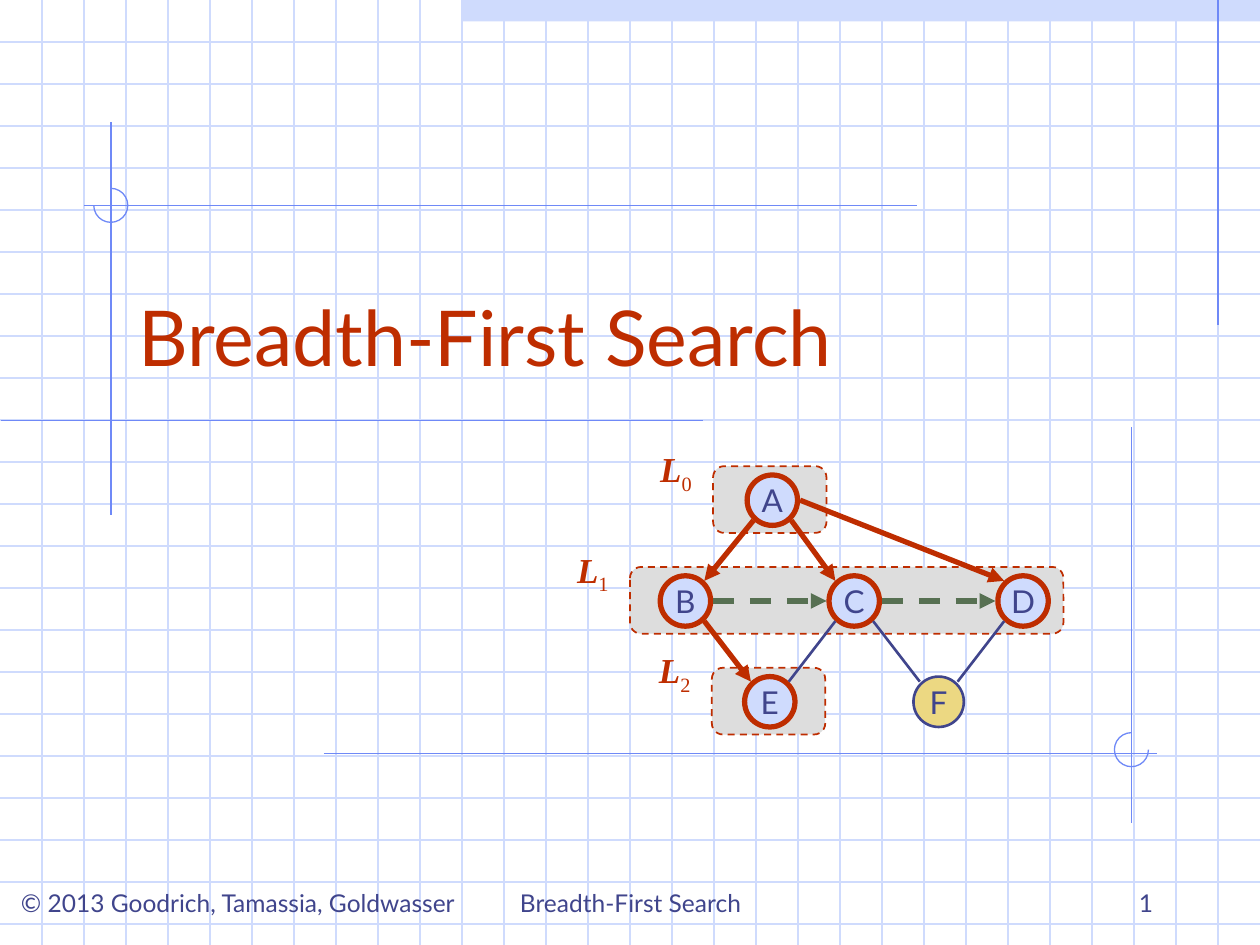
import pptx
import pptx.dml.color
import pptx.enum.dml
import pptx.enum.shapes
import pptx.enum.text
import pptx.oxml
import pptx.oxml.ns
import pptx.util

SLIDE_COLUMNS, SLIDE_ROWS = 10, 7.5
GRID_STEPS = 3
PALE, BLUE, RED, NAVY = "CFDBFD", "6F89F7", "BE2D00", "40458C"
GREY, GREEN, YELLOW = "DDDDDD", "577052", "ECD882"
SHAPES = pptx.enum.shapes.MSO_SHAPE
ALIGN = pptx.enum.text.PP_ALIGN
ANCHOR = pptx.enum.text.MSO_ANCHOR
DASH = pptx.enum.dml.MSO_LINE.DASH

NODE = 0.4
NODES = {
    "C": (2, 1, PALE, RED, 3),
    "B": (0, 1, PALE, RED, 3),
    "A": (1.03, 0, PALE, RED, 3),
    "E": (1, 2, PALE, RED, 3),
    "D": (4, 1, PALE, RED, 3),
    "F": (3, 2, YELLOW, NAVY, 1.5),
}
LEVELS = [("0", 0.22, 0.9), ("1", -0.44, 3.44), ("2", 0.21, 0.9)]
DISCOVERY, CROSS, UNUSED = (RED, 3, True, None), (GREEN, 3, True, DASH), (NAVY, 1.5, False, None)
EDGES = [
    ("A", (-1, 1), "B", (1, -1), DISCOVERY),
    ("B", (1, 1), "E", (-1, -1), DISCOVERY),
    ("E", (1, -1), "C", (-1, 1), UNUSED),
    ("A", (1, 1), "C", (-1, -1), DISCOVERY),
    ("B", (1, 0), "C", (-1, 0), CROSS),
    ("F", (1, -1), "D", (-1, 1), UNUSED),
    ("A", (1, 0), "D", (-1, -1), DISCOVERY),
    ("C", (1, 0), "D", (-1, 0), CROSS),
    ("C", (1, 1), "F", (-1, -1), UNUSED),
]


def color(hex_string):
    return pptx.dml.color.RGBColor.from_string(hex_string)


def columns(*lengths):
    return [pptx.util.Inches(length) for length in lengths]


def add_line(slide, start, end, stroke, width=0.75, arrow=False, dash=None):
    line = slide.shapes.add_connector(
        pptx.enum.shapes.MSO_CONNECTOR.STRAIGHT, *columns(*start, *end))
    line.line.color.rgb = color(stroke)
    line.line.width = pptx.util.Pt(width)
    if dash:
        line.line.dash_style = dash
    if arrow:
        tail = pptx.oxml.parse_xml(
            f'<a:tailEnd {pptx.oxml.ns.nsdecls("a")} type="triangle"/>')
        line.line._get_or_add_ln().append(tail)
    line._element.spPr.append(
        pptx.oxml.parse_xml(f'<a:effectLst {pptx.oxml.ns.nsdecls("a")}/>'))


def add_figure(slide, preset, box, fill=None, stroke=None, width=0.75):
    figure = slide.shapes.add_shape(preset, *columns(*box))
    figure.shadow.inherit = False
    if fill:
        figure.fill.solid()
        figure.fill.fore_color.rgb = color(fill)
    else:
        figure.fill.background()
    if stroke:
        figure.line.color.rgb = color(stroke)
        figure.line.width = pptx.util.Pt(width)
    else:
        figure.line.fill.background()
    return figure


def add_run(paragraph, text, size, tint, font="Lato"):
    run = paragraph.add_run()
    run.text = text
    run.font.size = pptx.util.Pt(size)
    run.font.name = font
    run.font.color.rgb = color(tint)
    return run


def prepare_text(owner, align, anchor, wrap=True):
    frame = owner.text_frame
    frame.word_wrap = wrap
    frame.vertical_anchor = anchor
    frame.paragraphs[0].alignment = align
    return frame.paragraphs[0]


def add_text(slide, box, align, anchor, wrap=True):
    return prepare_text(slide.shapes.add_textbox(*columns(*box)), align, anchor, wrap)


def draw_graph_paper(slide, box):
    left, top, width, height = box
    right, bottom = left + width, top + height
    margin = left + width * 29 / 30
    add_figure(slide, SHAPES.RECTANGLE, (left + width * 11 / 30, top, width * 19 / 30, 0.17), PALE)
    for step in range(1, int(height * GRID_STEPS) + 1):
        y = top + step / GRID_STEPS
        add_line(slide, (left, y), (right, y), PALE)
    for step in range(1, int(width * GRID_STEPS)):
        x = left + step / GRID_STEPS
        add_line(slide, (x, top), (x, bottom), PALE)
    add_line(slide, (margin, top), (margin, top + 2.58), BLUE)


def draw_crosshair(slide, box, cross, arc_center, arc_angles):
    left, top, width, height = box
    x, y = cross
    add_line(slide, (x, top), (x, top + height), BLUE)
    add_line(slide, (left, y), (left + width, y), BLUE)
    diameter = 0.27
    arc_box = [middle - diameter / 2 for middle in arc_center] + [diameter] * 2
    arc = add_figure(slide, SHAPES.ARC, arc_box, stroke=BLUE)
    for index, angle in enumerate(arc_angles):
        arc.adjustments[index] = angle * 0.6


def draw_title(slide, box):
    left, top, width, height = box
    underline = top + height + 0.26
    add_line(slide, (left - 0.99, underline), (left + 4.58, underline), BLUE)
    heading = add_text(slide, box, ALIGN.LEFT, ANCHOR.BOTTOM)
    add_run(heading, "Breadth-First Search", 44, RED)


def draw_footer(slide, box):
    left, top, width, height = box
    parts = [
        ("© 2013 Goodrich, Tamassia, Goldwasser", -0.05, 0.17, 3.88, 0.34,
         ALIGN.CENTER, ANCHOR.TOP, False),
        ("Breadth-First Search", 3.42, 0, 3.17, height, ALIGN.CENTER, ANCHOR.BOTTOM, True),
        ("1", 7.17, 0, 2.08, height, ALIGN.RIGHT, ANCHOR.BOTTOM, True),
    ]
    for text, x, y, part_width, part_height, align, anchor, wrap in parts:
        part_box = (left + x, top + y, part_width, part_height)
        add_run(add_text(slide, part_box, align, anchor, wrap), text, 14, NAVY)


def edge_end(center, side):
    across, down = side
    reach_x, reach_y = (0.15, 0.16) if down else (0.22, 0)
    return center[0] + across * reach_x, center[1] + down * reach_y


def draw_search_tree(slide, box):
    left, top, width, height = box
    column, row = width / 4, height / 2
    for level, (_, offset, level_width) in enumerate(LEVELS):
        level_box = (left + offset, top + level * row - 0.27, level_width, 0.53)
        band = add_figure(slide, SHAPES.ROUNDED_RECTANGLE, level_box, GREY, RED, 1)
        band.line.dash_style = DASH
    centers = {}
    for letter, (across, down, fill, stroke, weight) in NODES.items():
        x, y = centers[letter] = left + across * column, top + down * row
        node = add_figure(slide, SHAPES.OVAL, (x - NODE / 2, y - NODE / 2, NODE, NODE),
                          fill, stroke, weight)
        label = prepare_text(node, ALIGN.CENTER, ANCHOR.MIDDLE, False)
        add_run(label, letter, 18, NAVY)
    for source, source_side, target, target_side, style in EDGES:
        add_line(slide, edge_end(centers[source], source_side),
                 edge_end(centers[target], target_side), *style)
    for level, (number, offset, _) in enumerate(LEVELS):
        label_box = (left + offset - 0.55, top + level * row - 0.47, 0.51, 0.48)
        label = add_text(slide, label_box, ALIGN.CENTER, ANCHOR.TOP)
        letter = add_run(label, "L", 20, RED, "Times New Roman")
        letter.font.bold = letter.font.italic = True
        subscript = add_run(label, number, 20, RED, "Times New Roman")
        subscript.font._element.set("baseline", "-25000")


def main():
    deck = pptx.Presentation()
    deck.slide_width, deck.slide_height = columns(SLIDE_COLUMNS, SLIDE_ROWS)
    slide = deck.slides.add_slide(deck.slide_layouts[6])
    draw_graph_paper(slide, (0, 0, SLIDE_COLUMNS, SLIDE_ROWS))
    draw_crosshair(slide, (0.67, 0.97, 6.61, 3.12), (0.88, 1.63), (0.88, 1.63), (270, 180))
    draw_crosshair(slide, (2.57, 3.39, 6.61, 3.14), (8.98, 5.98), (8.98, 5.95), (0, 270))
    draw_footer(slide, (0, 6.83, SLIDE_COLUMNS, 0.5))
    draw_title(slide, (1, 1.83, 8.5, 1.25))
    draw_search_tree(slide, (5.44, 3.97, 2.68, 1.6))
    deck.save("out.pptx")


if __name__ == "__main__":
    main()
